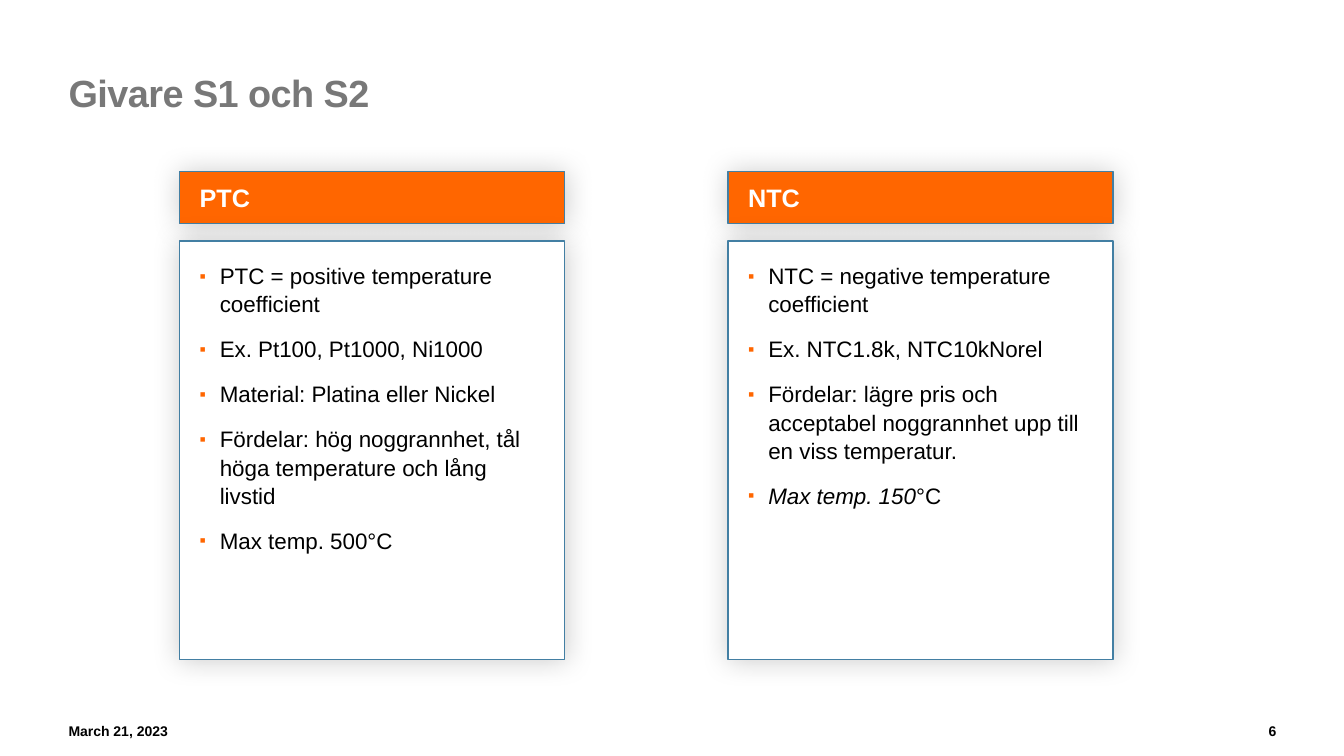
from dataclasses import dataclass

from lxml import etree
from pptx import Presentation
from pptx.dml.color import RGBColor
from pptx.enum.text import MSO_ANCHOR, MSO_AUTO_SIZE, PP_ALIGN
from pptx.oxml.ns import qn
from pptx.util import Inches, Pt

TOP, MIDDLE = MSO_ANCHOR.TOP, MSO_ANCHOR.MIDDLE
LEFT, RIGHT = PP_ALIGN.LEFT, PP_ALIGN.RIGHT
NO_AUTOFIT = MSO_AUTO_SIZE.NONE

TITLE = "Givare S1 och S2"
DATE = "March 21, 2023"
PAGE = "6"
SENSORS = [
    ("PTC", [
        "PTC = positive temperature coefficient",
        "Ex. Pt100, Pt1000, Ni1000",
        "Material: Platina eller Nickel",
        "Fördelar: hög noggrannhet, tål höga temperature och lång livstid",
        "Max temp. 500°C",
    ]),
    ("NTC", [
        "NTC = negative temperature coefficient",
        "Ex. NTC1.8k, NTC10kNorel",
        "Fördelar: lägre pris och acceptabel noggrannhet upp till en viss temperatur.",
        ("Max temp. 150", "°C"),
    ]),
]


@dataclass(frozen=True)
class Theme:
    """Colours, font and type sizes of the slide."""
    font: str = "Arial"
    accent: str = "FF6600"
    outline: str = "437FA3"
    title: str = "787878"
    ink: str = "000000"
    paper: str = "FFFFFF"
    title_size: int = 27
    header_size: int = 18
    body_size: int = 16
    footer_size: int = 10


THEME = Theme()
MARGIN = 0.68
COLUMN_LEFT, COLUMN_STEP, COLUMN_WIDTH = 1.78, 5.44, 3.82
HEADER_TOP, HEADER_HEIGHT = 1.7, 0.52
BODY_TOP, BODY_HEIGHT = 2.39, 4.15
FOOTER_TOP, FOOTER_HEIGHT = 7.11, 0.23
PADDING = 0.2


def place(box, left, top, width, height):
    """Move and size a box, in inches."""
    box.left, box.top = Inches(left), Inches(top)
    box.width, box.height = Inches(width), Inches(height)


def prepare_frame(box, anchor, across=0, down=0):
    """Set wrapping, anchor and insets, and return the text frame."""
    frame = box.text_frame
    frame.word_wrap = True
    frame.auto_size = NO_AUTOFIT
    frame.vertical_anchor = anchor
    frame.margin_left = frame.margin_right = Inches(across)
    frame.margin_top = frame.margin_bottom = Inches(down)
    return frame


def style_paragraph(paragraph, size, color, bold=False, align=LEFT, leading=1.0, before=0):
    """Format a paragraph and all its runs."""
    paragraph.alignment = align
    paragraph.line_spacing = leading
    paragraph.space_before, paragraph.space_after = Pt(before), Pt(0)
    for run in paragraph.runs:
        run.font.name, run.font.size, run.font.bold = THEME.font, Pt(size), bold
        run.font.color.rgb = RGBColor.from_string(color)


def style_panel(panel, fill):
    """Give a panel its fill, outline and soft shadow."""
    panel.fill.solid()
    panel.fill.fore_color.rgb = RGBColor.from_string(fill)
    panel.line.color.rgb = RGBColor.from_string(THEME.outline)
    panel.line.width = Pt(1)
    effects = etree.SubElement(panel._element.spPr, qn("a:effectLst"))
    shadow = etree.SubElement(effects, qn("a:outerShdw"), blurRad=str(Pt(20)),
                              dist="0", dir="0", algn="ctr", rotWithShape="0")
    color = etree.SubElement(shadow, qn("a:srgbClr"), val=THEME.ink)
    etree.SubElement(color, qn("a:alpha"), val="20000")


def add_bullet(paragraph):
    """Add a small square bullet with a hanging indent."""
    properties = paragraph._p.get_or_add_pPr()
    properties.set("marL", str(Inches(PADDING)))
    properties.set("indent", str(-Inches(PADDING)))
    color = etree.SubElement(properties, qn("a:buClr"))
    etree.SubElement(color, qn("a:srgbClr"), val=THEME.accent)
    etree.SubElement(properties, qn("a:buSzPct"), val="80000")
    etree.SubElement(properties, qn("a:buFont"), typeface=THEME.font)
    etree.SubElement(properties, qn("a:buChar"), char="▪")


def fill_title(title):
    """Write the slide title."""
    place(title, MARGIN, 0.74, 10.18, 0.8)
    frame = prepare_frame(title, TOP)
    frame.text = TITLE
    style_paragraph(frame.paragraphs[0], THEME.title_size, THEME.title, True, leading=Pt(29))
    frame.paragraphs[0].runs[0].font._element.set("spc", "-40")


def fill_header(header, left, name):
    """Write the coloured heading of one sensor type."""
    place(header, left, HEADER_TOP, COLUMN_WIDTH, HEADER_HEIGHT)
    style_panel(header, THEME.accent)
    frame = prepare_frame(header, MIDDLE, PADDING, 0.05)
    frame.text = name
    style_paragraph(frame.paragraphs[0], THEME.header_size, THEME.paper, True)


def fill_body(body, left, facts):
    """Write the bulleted facts of one sensor type."""
    place(body, left, BODY_TOP, COLUMN_WIDTH, BODY_HEIGHT)
    style_panel(body, THEME.paper)
    frame = prepare_frame(body, TOP, PADDING, PADDING)
    for index, fact in enumerate(facts):
        paragraph = frame.add_paragraph() if index else frame.paragraphs[0]
        add_bullet(paragraph)
        if isinstance(fact, tuple):
            emphasis, rest = fact
            paragraph.text = emphasis
            paragraph.runs[0].font.italic = True
            paragraph.add_run().text = rest
        else:
            paragraph.text = fact
        style_paragraph(paragraph, THEME.body_size, THEME.ink,
                        leading=1.05, before=12 if index else 0)


def add_footer(slide, text, left, width, align):
    """Add one footer text."""
    footer = slide.shapes.add_textbox(Inches(left), Inches(FOOTER_TOP),
                                      Inches(width), Inches(FOOTER_HEIGHT))
    frame = prepare_frame(footer, MIDDLE)
    frame.text = text
    style_paragraph(frame.paragraphs[0], THEME.footer_size, THEME.ink, True, align, Pt(16))


def main():
    """Build the slide and save it."""
    presentation = Presentation()
    presentation.slide_width, presentation.slide_height = Inches(13.33), Inches(7.5)
    slide = presentation.slides.add_slide(presentation.slide_layouts.get_by_name("Comparison"))
    title, *panels = slide.placeholders
    fill_title(title)
    for column, (name, facts) in enumerate(SENSORS):
        left = COLUMN_LEFT + column * COLUMN_STEP
        header, body = panels[2 * column:2 * column + 2]
        fill_header(header, left, name)
        fill_body(body, left, facts)
    add_footer(slide, DATE, MARGIN, 7.8, LEFT)
    add_footer(slide, PAGE, 11.79, 0.87, RIGHT)
    presentation.save("out.pptx")


if __name__ == "__main__":
    main()
